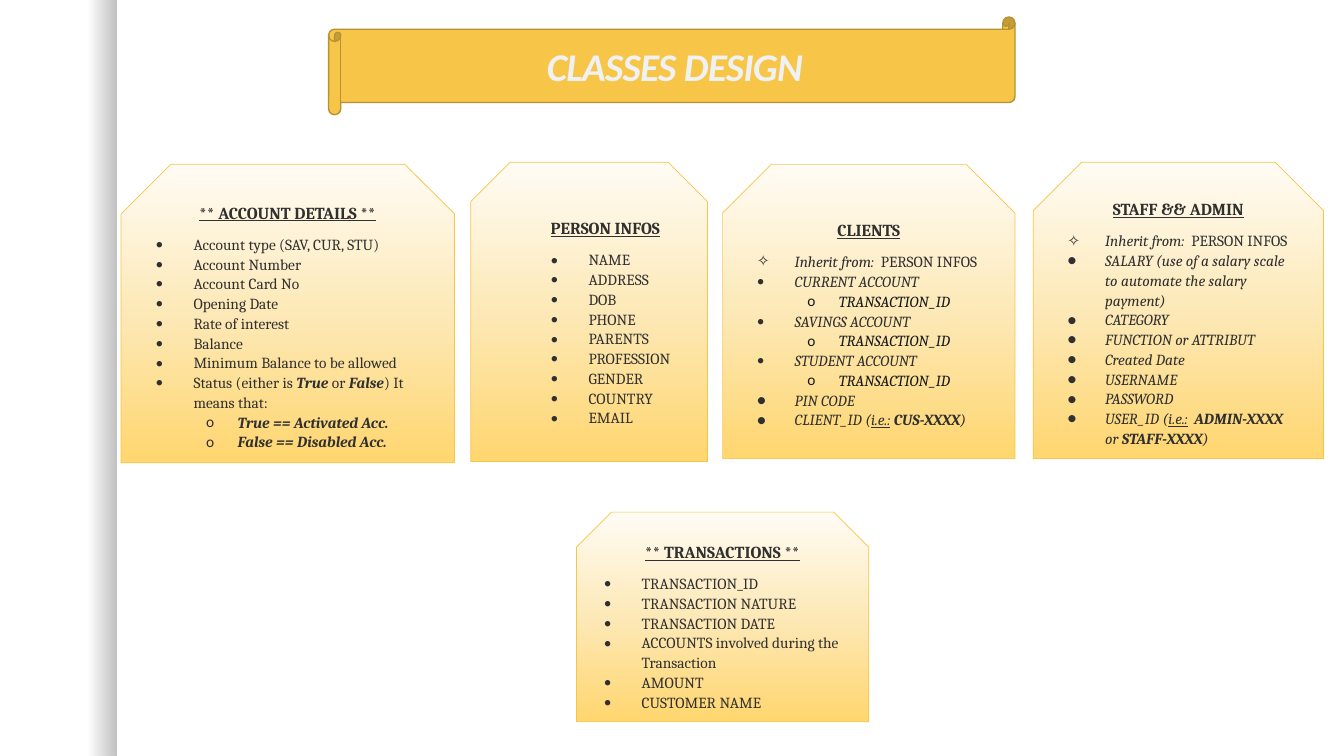
from lxml.etree import SubElement
from pptx import Presentation
from pptx.dml.color import RGBColor
from pptx.enum.shapes import MSO_SHAPE
from pptx.enum.text import MSO_ANCHOR, PP_ALIGN
from pptx.oxml.ns import qn
from pptx.util import Pt

COLORS = {
    "page": "FFFFFF", "shade": "000000", "banner": "F7C547", "banner_line": "B79235",
    "title": "F0F1F2", "text": "303030", "dark": "14181B",
    "top": "FFFCF5", "middle": "FDE9B7", "bottom": "FFD66F",
}
RGB = {name: RGBColor.from_string(value) for name, value in COLORS.items()}

# Bullet kinds: character, level, left margin, hanging indent
BULLETS = {
    "dot": ("•", 0, 27, 27),
    "ball": ("●", 0, 27, 27),
    "star": ("✧", 0, 27, 27),
    "deep": ("•", 1, 63, 27),
    "sub": ("o", 1, 58.5, 22.5),
}


def fill_gradient(sp, angle, stops):
    """Fill with stops of (position %, colour name, opacity %)."""
    sp.fill.gradient()
    sp.fill.gradient_angle = angle
    stop_list = sp._element.spPr.find(qn("a:gradFill")).find(qn("a:gsLst"))
    for old in list(stop_list):
        stop_list.remove(old)
    for position, color, opacity in stops:
        stop = SubElement(stop_list, qn("a:gs"), pos=str(position * 1000))
        clr = SubElement(stop, qn("a:srgbClr"), val=COLORS[color])
        if opacity < 100:
            SubElement(clr, qn("a:alpha"), val=str(opacity * 1000))


def add_run(p, text, style="", color="text", size=11, name="Cambria"):
    """Add a run; style holds the letters b, i and u."""
    r = p.add_run()
    r.text = text
    font = {"name": name, "size": Pt(size), "bold": "b" in style,
            "italic": "i" in style, "underline": "u" in style}
    for key, value in font.items():
        setattr(r.font, key, value)
    r.font.color.rgb = RGB[color]
    return r


prs = Presentation()
prs.slide_width, prs.slide_height = Pt(960), Pt(540)
s = prs.slides.add_slide(prs.slide_layouts[6])
s.background.fill.solid()
s.background.fill.fore_color.rgb = RGB["page"]

# Shaded strip on the left
sp = s.shapes.add_shape(MSO_SHAPE.RECTANGLE, 0, 0, Pt(83.5), Pt(540))
sp.shadow.inherit = False
sp.line.fill.background()
fill_gradient(sp, 0, [(75, "shade", 0), (100, "shade", 25)])

# Title banner
sp = s.shapes.add_shape(MSO_SHAPE.HORIZONTAL_SCROLL, Pt(234.7), Pt(12.2), Pt(490.3), Pt(69.8))
sp.shadow.inherit = False
sp.fill.solid()
sp.fill.fore_color.rgb = RGB["banner"]
sp.line.color.rgb = RGB["banner_line"]
sp.line.width = Pt(1)
sp.text_frame.vertical_anchor = MSO_ANCHOR.MIDDLE
p = sp.text_frame.paragraphs[0]
p.alignment = PP_ALIGN.CENTER
r = add_run(p, "CLASSES DESIGN", "bi", "title", 28, "Calibri")
r._r.get_or_add_rPr().set("spc", "-50")

# Class cards: heading, box, then lines of (bullet kind, run, run, ...)
INHERIT = ("star", ("Inherit from: ", "i"), (" PERSON INFOS",))
TRANSACTION = ("sub", ("TRANSACTION_ID", "i", "dark"))
CARDS = [
    ("PERSON INFOS", (336.2, 115.9, 169.2, 213.8), [
        ("deep", (text,)) for text in (
            "NAME", "ADDRESS", "DOB", "PHONE", "PARENTS",
            "PROFESSION", "GENDER", "COUNTRY", "EMAIL")
    ]),
    ("STAFF && ADMIN", (738, 115.9, 207.4, 211.7), [
        INHERIT,
        *[("ball", (text, "i")) for text in (
            "SALARY (use of a salary scale to automate the salary payment)",
            "CATEGORY", "FUNCTION or ATTRIBUT", "Created Date", "USERNAME", "PASSWORD")],
        ("ball", ("USER_ID (", "i"), ("i.e.:", "iu"), ("  ADMIN-XXXX", "bi"),
         (" or ", "i"), ("STAFF-XXXX", "bi"), (")", "i")),
    ]),
    ("** ACCOUNT DETAILS **", (86.4, 117.4, 238.3, 213.1), [
        *[("dot", (text,)) for text in (
            "Account type (SAV, CUR, STU)", "Account Number", "Account Card No",
            "Opening Date", "Rate of interest", "Balance", "Minimum Balance to be allowed")],
        ("dot", ("Status (either is ",), ("True", "bi"), (" or ",),
         ("False", "bi"), (") It means that:",)),
        ("sub", ("True == Activated Acc.", "bi")),
        ("sub", ("False == Disabled Acc.", "bi")),
    ]),
    ("** TRANSACTIONS **", (411.8, 365.8, 208.8, 149.8), [
        ("dot", (text,)) for text in (
            "TRANSACTION_ID", "TRANSACTION NATURE", "TRANSACTION DATE",
            "ACCOUNTS involved during the Transaction", "AMOUNT", "CUSTOMER NAME")
    ]),
    ("CLIENTS", (516.2, 117.4, 208.8, 210.2), [
        INHERIT,
        ("dot", ("CURRENT ACCOUNT", "i")), TRANSACTION,
        ("dot", ("SAVINGS ACCOUNT", "i")), TRANSACTION,
        ("dot", ("STUDENT ACCOUNT", "i")), TRANSACTION,
        ("ball", ("PIN CODE", "i")),
        ("ball", ("CLIENT_ID (", "i"), ("i.e.:", "iu"), (" ", "i"),
         ("CUS-XXXX", "bi"), (")", "i")),
    ]),
]

for heading, box, lines in CARDS:
    sp = s.shapes.add_shape(MSO_SHAPE.SNIP_2_SAME_RECTANGLE, *map(Pt, box))
    sp.shadow.inherit = False
    fill_gradient(sp, 270, [(0, "top", 100), (50, "middle", 100), (100, "bottom", 100)])
    sp.line.color.rgb = RGB["banner"]
    sp.line.width = Pt(0.5)
    tf = sp.text_frame
    tf.word_wrap = True
    tf.vertical_anchor = MSO_ANCHOR.MIDDLE

    # Heading, indented instead of centred above the deep list
    p = tf.paragraphs[0]
    add_run(p, heading, "bu", size=12)
    if lines[0][0] == "deep":
        p.alignment = PP_ALIGN.LEFT
        p._p.get_or_add_pPr().set("indent", str(Pt(36)))
    else:
        p.alignment = PP_ALIGN.CENTER
    p.line_spacing, p.space_after = 1.07, Pt(8)

    # Bulleted lines
    for kind, *runs in lines:
        char, level, left, hang = BULLETS[kind]
        p = tf.add_paragraph()
        layout = {"alignment": PP_ALIGN.LEFT, "level": level,
                  "line_spacing": 1.07, "space_after": Pt(0)}
        for key, value in layout.items():
            setattr(p, key, value)
        pPr = p._p.get_or_add_pPr()
        pPr.set("marL", str(Pt(left)))
        pPr.set("indent", str(-Pt(hang)))
        SubElement(pPr, qn("a:buFont"), typeface="Calibri")
        SubElement(pPr, qn("a:buChar"), char=char)
        for run in runs:
            add_run(p, *run)
    p.space_after = Pt(8)

prs.save("out.pptx")
